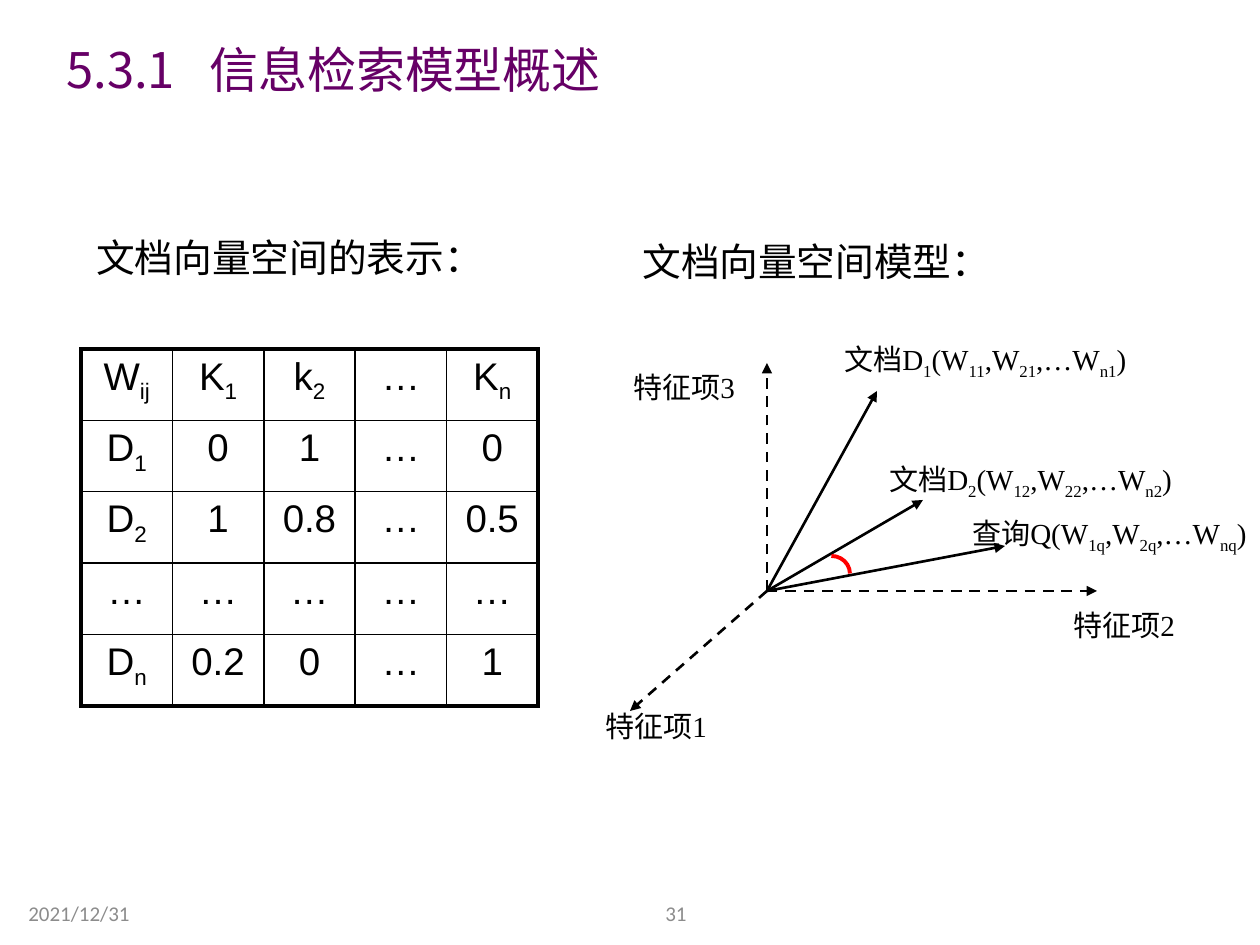
import pptx
import pptx.util
import pptx.dml.color
import pptx.enum.dml
import pptx.enum.shapes
import pptx.enum.text
import pptx.oxml
import pptx.oxml.ns

PX = 914400 / 126
SANS, SERIF, ARIAL = "Noto Sans CJK SC", "Times New Roman", "Arial"
BLACK, GREY, PURPLE, RED = "000000", "8C8C8C", "660066", "FF0000"
ALIGN = pptx.enum.text.PP_ALIGN
ANCHOR = pptx.enum.text.MSO_ANCHOR

# Content: in texts, every second piece between bars is a subscript
TITLE = "5.3.1\t信息检索模型概述"
TITLE_TAB = 143
HEADINGS = [
    ("文档向量空间的表示：", (84, 228, 421, 59)),
    ("文档向量空间模型：", (630, 232, 522, 59)),
]
WEIGHTS = [
    ["W|ij", "K|1", "k|2", "…", "K|n"],
    ["D|1", "0", "1", "…", "0"],
    ["D|2", "1", "0.8", "…", "0.5"],
    ["…", "…", "…", "…", "…"],
    ["D|n", "0.2", "0", "…", "1"],
]
TABLE = (81, 349, 457, 357)
ORIGIN = (767, 591)
AXIS_ENDS = [(767, 363), (1097, 591), (630, 711)]
VECTOR_ENDS = [(877, 391), (923, 500), (1005, 546)]
ANGLE_ARC = (813, 556, 37, 35)
LABELS = [
    ("文档D|1|(W|11|,W|21|,…W|n1|)", (832, 335, 392, 48)),
    ("文档D|2|(W|12|,W|22|,…W|n2|)", (877, 455, 355, 48)),
    ("查询Q(W|1q|,W|2q|,…W|nq|)", (960, 509, 359, 48)),
    ("特征项1", (593, 702, 137, 48)),
    ("特征项2", (1061, 601, 137, 48)),
    ("特征项3", (621, 363, 137, 48)),
]
FOOTERS = [
    ("2021/12/31", (16, 882, 262, 63), ALIGN.LEFT),
    ("31", (437, 882, 262, 63), ALIGN.RIGHT),
]


def emu(*lengths):
    return [pptx.util.Emu(round(length * PX)) for length in lengths]


def color(value):
    return pptx.dml.color.RGBColor.from_string(value)


def add_child(parent, tag, **attributes):
    child = pptx.oxml.parse_xml(f"<a:{tag} {pptx.oxml.ns.nsdecls('a')}/>")
    for name, value in attributes.items():
        child.set(name, str(value))
    parent.append(child)
    return child


def write(para, text, size, font, tint=BLACK, align=ALIGN.LEFT, tab=None):
    para.alignment = align
    if tab:
        stops = add_child(para._p.get_or_add_pPr(), "tabLst")
        add_child(stops, "tab", pos=emu(tab)[0], algn="l")
    para.font.size = pptx.util.Pt(size)
    para.font.color.rgb = color(tint)
    para.font.name = font
    add_child(para._p.pPr.defRPr, "ea", typeface=SANS)
    for index, piece in enumerate(text.split("|")):
        if piece:
            span = para.add_run()
            span.text = piece
            if index % 2:
                span._r.get_or_add_rPr().set("baseline", "-25000")


def add_text(slide, text, place, size, font, anchor=ANCHOR.TOP, **style):
    frame = slide.shapes.add_textbox(*emu(*place)).text_frame
    frame.word_wrap = True
    frame.vertical_anchor = anchor
    write(frame.paragraphs[0], text, size, font, **style)


def add_border(cell, side, points):
    line = add_child(cell._tc.get_or_add_tcPr(), f"ln{side}", w=pptx.util.Pt(points))
    add_child(add_child(line, "solidFill"), "srgbClr", val=BLACK)


def add_weights(slide):
    count_rows, count_columns = len(WEIGHTS), len(WEIGHTS[0])
    table = slide.shapes.add_table(count_rows, count_columns, *emu(*TABLE)).table
    table.first_row = table.horz_banding = False
    for column in table.columns:
        column.width = emu(TABLE[2] / count_columns)[0]
    for i, row in enumerate(WEIGHTS):
        table.rows[i].height = emu(TABLE[3] / count_rows)[0]
        for j, text in enumerate(row):
            cell = table.cell(i, j)
            outer = {"L": j == 0, "R": j == count_columns - 1,
                     "T": i == 0, "B": i == count_rows - 1}
            for side, is_outer in outer.items():
                add_border(cell, side, 2.25 if is_outer else 1)
            cell.fill.background()
            write(cell.text_frame.paragraphs[0], text, 22, ARIAL, align=ALIGN.CENTER)


def add_arrow(slide, end, dashed):
    arrow = slide.shapes.add_connector(
        pptx.enum.shapes.MSO_CONNECTOR.STRAIGHT, *emu(*ORIGIN, *end))
    arrow.line.color.rgb = color(BLACK)
    arrow.line.width = pptx.util.Pt(1.5)
    if dashed:
        arrow.line.dash_style = pptx.enum.dml.MSO_LINE.DASH
    add_child(arrow.line._get_or_add_ln(), "tailEnd", type="triangle")
    add_child(arrow._element.spPr, "effectLst")


def main():
    deck = pptx.Presentation()
    deck.slide_width, deck.slide_height = emu(1260, 945)
    page = deck.slides.add_slide(deck.slide_layouts[6])

    # Title, headings and footers
    add_text(page, TITLE, (54, 1, 959, 136), 28, SANS, ANCHOR.MIDDLE,
             tint=PURPLE, tab=TITLE_TAB)
    for text, place in HEADINGS:
        add_text(page, text, place, 22.1, SANS)
    for text, place, align in FOOTERS:
        add_text(page, text, place, 12, "Calibri", ANCHOR.MIDDLE, tint=GREY, align=align)

    # Weight table
    add_weights(page)

    # Vector space diagram
    for end in AXIS_ENDS:
        add_arrow(page, end, dashed=True)
    for end in VECTOR_ENDS:
        add_arrow(page, end, dashed=False)
    arc = page.shapes.add_shape(pptx.enum.shapes.MSO_SHAPE.ARC, *emu(*ANGLE_ARC))
    arc.shadow.inherit = False
    arc.fill.background()
    arc.line.color.rgb = color(RED)
    arc.line.width = pptx.util.Pt(2.25)
    for text, place in LABELS:
        add_text(page, text, place, 16.6, SERIF)

    deck.save("out.pptx")


if __name__ == "__main__":
    main()
